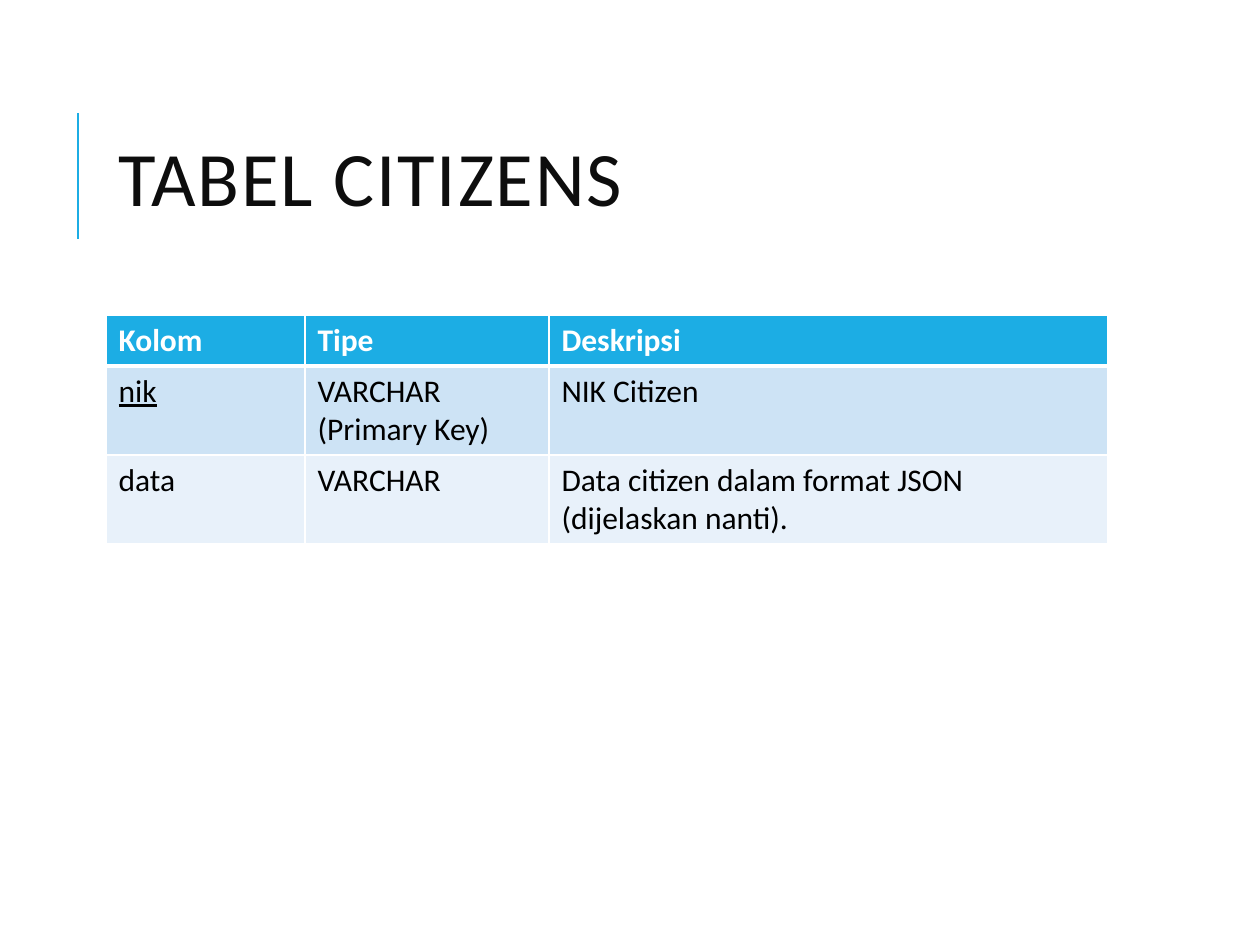
from pptx import Presentation
from pptx.dml.color import RGBColor
from pptx.enum.shapes import MSO_CONNECTOR
from pptx.enum.text import MSO_ANCHOR
from pptx.oxml.ns import qn
from pptx.util import Pt
from lxml.etree import SubElement

TITLE = "TABEL CITIZENS"
ROWS = [
    ("Kolom", "Tipe", "Deskripsi"),
    ("nik", "VARCHAR (Primary Key)", "NIK Citizen"),
    ("data", "VARCHAR", "Data citizen dalam format JSON (dijelaskan nanti)."),
]
PRIMARY_KEY = "nik"
COL_WIDTHS = [199, 244, 559]
ROW_HEIGHTS = [51, 89, 89]
TITLE_BOX = (106, 81, 1004, 207)
TABLE_AT = (106, 315)
ACCENT_X, ACCENT_TOP, ACCENT_BOTTOM = 78, 113, 239
COLORS = {"accent": "1CADE4", "title": "0D0D0D", "text": "000000",
          "white": "FFFFFF", "band1": "CDE3F5", "band2": "E8F1FA"}
ROW_FILLS = ["accent", "band1", "band2"]
FONT = "Calibri"


def px(n):
    return round(n * 914400 / 126)


def rgb(name):
    return RGBColor.from_string(COLORS[name])


def add_run(p, text, size, color, bold=False, underline=False):
    r = p.add_run()
    r.text = text
    f = r.font
    f.name, f.size, f.bold, f.underline = FONT, Pt(size), bold, underline
    f.color.rgb = rgb(color)
    return r


def set_border(cell, side, width):
    ln = SubElement(cell._tc.get_or_add_tcPr(), qn("a:" + side), w=str(Pt(width)))
    fill = SubElement(ln, qn("a:solidFill"))
    SubElement(fill, qn("a:srgbClr"), val=COLORS["white"])


prs = Presentation()
prs.slide_width, prs.slide_height = px(1260), px(945)
s = prs.slides.add_slide(prs.slide_layouts[6])

line = s.shapes.add_connector(MSO_CONNECTOR.STRAIGHT, px(ACCENT_X), px(ACCENT_BOTTOM),
                              px(ACCENT_X), px(ACCENT_TOP))
line.line.color.rgb = rgb("accent")
line.line.width = Pt(1.5)
SubElement(line._element.spPr, qn("a:effectLst"))

tf = s.shapes.add_textbox(*map(px, TITLE_BOX)).text_frame
tf.word_wrap = True
tf.vertical_anchor = MSO_ANCHOR.MIDDLE
p = tf.paragraphs[0]
p.line_spacing = 0.8
r = add_run(p, TITLE, 44, "title")
r.font._element.set("spc", "100")

size = (sum(COL_WIDTHS), sum(ROW_HEIGHTS))
table = s.shapes.add_table(len(ROWS), len(COL_WIDTHS), *map(px, TABLE_AT + size)).table
for col, width in zip(table.columns, COL_WIDTHS):
    col.width = px(width)
for i, texts in enumerate(ROWS):
    table.rows[i].height = px(ROW_HEIGHTS[i])
    header = i == 0
    for j, text in enumerate(texts):
        cell = table.cell(i, j)
        for side in ("lnL", "lnR", "lnT", "lnB"):
            thick = (header and side == "lnB") or (i == 1 and side == "lnT")
            set_border(cell, side, 3 if thick else 1)
        cell.fill.solid()
        cell.fill.fore_color.rgb = rgb(ROW_FILLS[i])
        add_run(cell.text_frame.paragraphs[0], text, 18, "white" if header else "text",
                header, text == PRIMARY_KEY)

prs.save("out.pptx")
